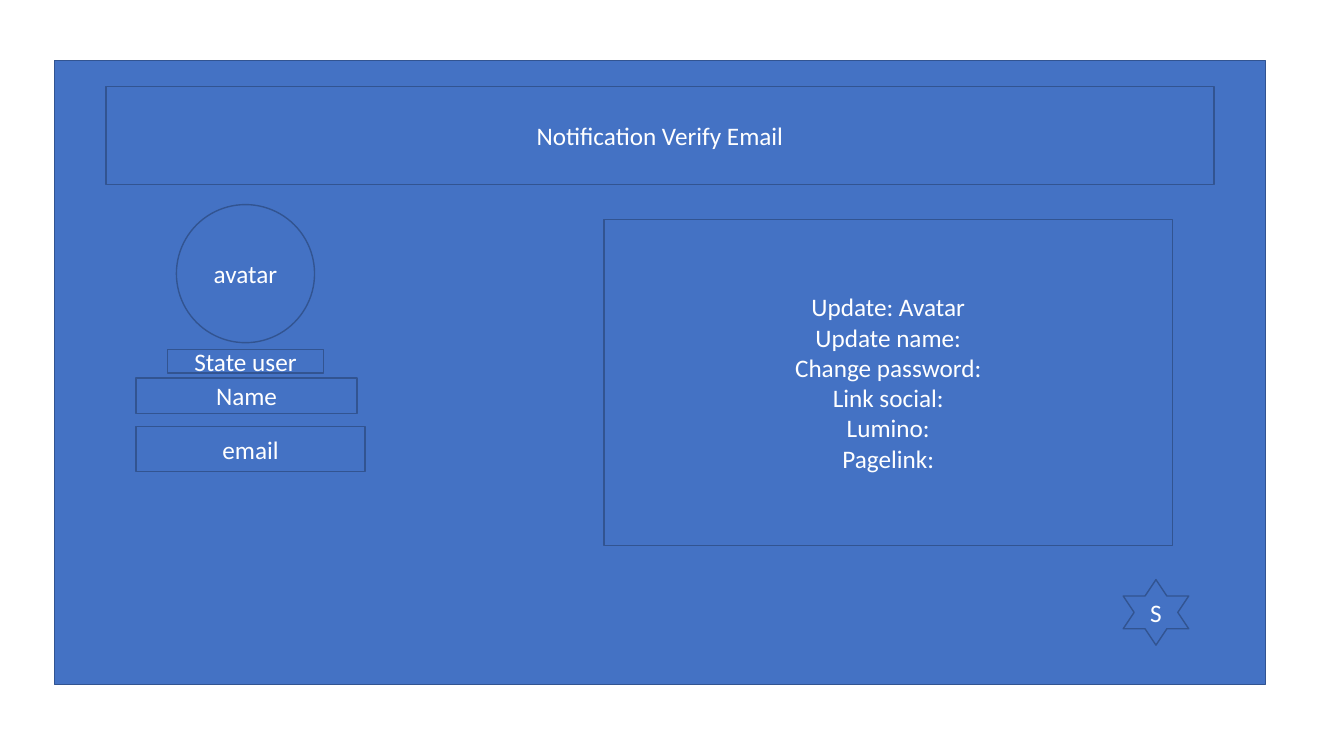
from pptx import Presentation
from pptx.dml.color import RGBColor
from pptx.enum.shapes import MSO_SHAPE as Shape
from pptx.enum.text import MSO_ANCHOR as Anchor, PP_ALIGN as Align
from pptx.util import Inches, Pt

BLUE = RGBColor(0x44, 0x72, 0xC4)
OUTLINE = RGBColor(0x32, 0x54, 0x91)
WHITE = RGBColor(0xFF, 0xFF, 0xFF)

SETTINGS = [
    "Update: Avatar",
    "Update name:",
    "Change password:",
    "Link social:",
    "Lumino:",
    "Pagelink:",
]

PROFILE_PAGE = [
    (Shape.RECTANGLE, (0.54, 0.6, 12.01, 6.19), []),
    (Shape.OVAL, (1.75, 2.03, 1.37, 1.37), ["avatar"]),
    (Shape.RECTANGLE, (1.05, 0.86, 10.99, 0.97), ["Notification Verify Email"]),
    (Shape.RECTANGLE, (1.35, 3.75, 2.19, 0.35), ["Name"]),
    (Shape.RECTANGLE, (1.66, 3.47, 1.55, 0.23), ["State user"]),
    (Shape.RECTANGLE, (1.35, 4.23, 2.27, 0.45), ["email"]),
    (Shape.STAR_6_POINT, (11.14, 5.75, 0.65, 0.65), ["S"]),
    (Shape.RECTANGLE, (5.99, 2.18, 5.64, 3.23), SETTINGS),
]


def add_block(slide, outline, place, lines):
    block = slide.shapes.add_shape(outline, *[Inches(length) for length in place])
    block.shadow.inherit = False
    block.fill.solid()
    block.fill.fore_color.rgb = BLUE
    block.line.color.rgb = OUTLINE
    block.line.width = Pt(1)
    if not lines:
        return
    frame = block.text_frame
    frame.text = "\n".join(lines)
    frame.word_wrap = True
    frame.vertical_anchor = Anchor.MIDDLE
    for paragraph in frame.paragraphs:
        paragraph.alignment = Align.CENTER
        for run in paragraph.runs:
            run.font.name = "Calibri"
            run.font.size = Pt(18)
            run.font.color.rgb = WHITE


def main():
    deck = Presentation()
    deck.slide_width, deck.slide_height = Inches(13.33), Inches(7.5)
    slide = deck.slides.add_slide(deck.slide_layouts[6])
    for outline, place, lines in PROFILE_PAGE:
        add_block(slide, outline, place, lines)
    deck.save("out.pptx")


if __name__ == "__main__":
    main()
